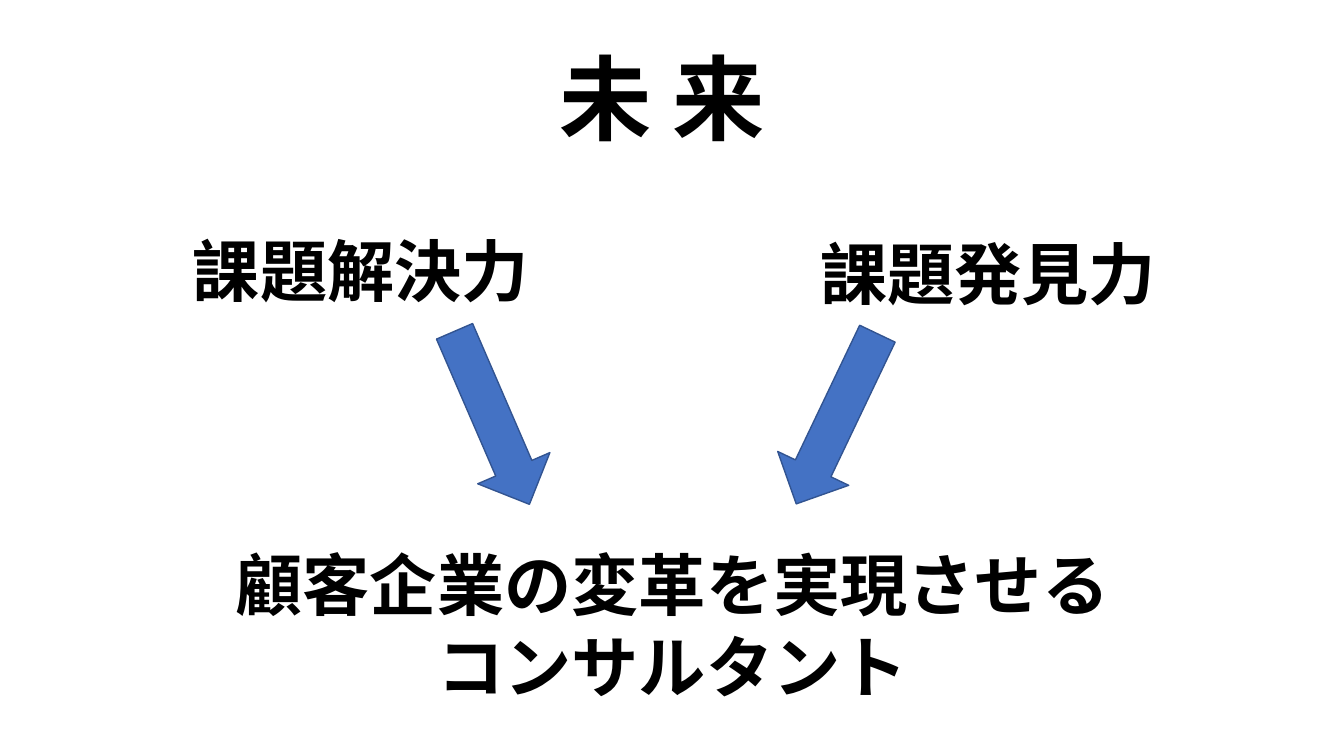
from lxml.etree import SubElement
from pptx import Presentation
from pptx.dml.color import RGBColor
from pptx.enum.shapes import MSO_SHAPE as Shape
from pptx.enum.text import MSO_AUTO_SIZE as Fit, PP_ALIGN as Align
from pptx.oxml.ns import qn
from pptx.util import Inches, Pt

BLACK = RGBColor(0x00, 0x00, 0x00)
BLUE = RGBColor(0x44, 0x72, 0xC4)
NAVY = RGBColor(0x32, 0x54, 0x91)


class Board:
    font = "Noto Sans CJK JP"
    leading = 1.215

    def __init__(self, slide):
        self.shapes = slide.shapes

    def text(self, words, left, top, width, height, size=48):
        box = self.shapes.add_textbox(
            Inches(left), Inches(top), Inches(width), Inches(height))
        frame = box.text_frame
        frame.text = words
        frame.word_wrap = True
        frame.auto_size = Fit.SHAPE_TO_FIT_TEXT
        for line in frame.paragraphs:
            line.alignment = Align.CENTER
            line.line_spacing = Pt(round(size * self.leading, 1))
            for run in line.runs:
                self.style(run.font, size)

    def style(self, font, size):
        """Set bold black type, for Latin and Japanese letters alike."""
        font.size = Pt(size)
        font.bold = True
        font.color.rgb = BLACK
        font.name = self.font
        SubElement(font._element, qn("a:ea"), typeface=self.font)

    def arrow(self, left, top, angle):
        arrow = self.shapes.add_shape(
            Shape.DOWN_ARROW, Inches(left), Inches(top),
            Inches(0.78), Inches(1.87))
        arrow.rotation = angle
        arrow.shadow.inherit = False
        arrow.fill.solid()
        arrow.fill.fore_color.rgb = BLUE
        arrow.line.color.rgb = NAVY
        arrow.line.width = Pt(1)


def main():
    deck = Presentation()
    deck.slide_width = Inches(13.33)
    deck.slide_height = Inches(7.5)
    board = Board(deck.slides.add_slide(deck.slide_layouts[6]))

    board.text("未 来", 1.62, 0.34, 9.9, 1.21, size=66)
    board.arrow(4.49, 3.21, 336.6)
    board.arrow(7.91, 3.22, 25.5)
    board.text("課題発見力", 7.68, 2.25, 4.24, 0.91)
    board.text("課題解決力", 1.46, 2.22, 4.24, 0.91)
    board.text("顧客企業の変革を実現させる\nコンサルタント", 2.19, 5.33, 8.96, 1.72)

    deck.save("out.pptx")


if __name__ == "__main__":
    main()
